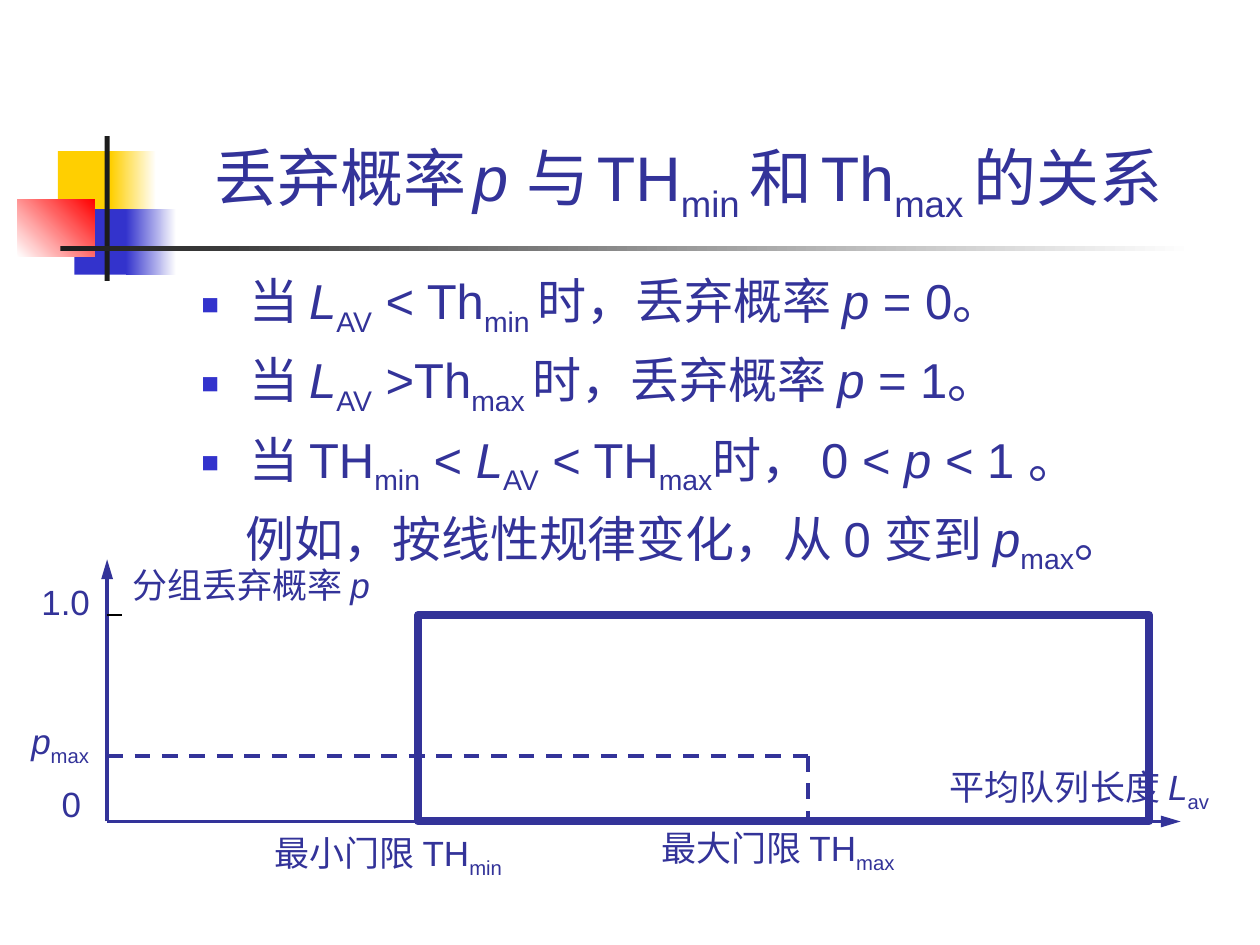
from lxml.etree import SubElement
from pptx import Presentation
from pptx.dml.color import RGBColor
from pptx.enum.dml import MSO_LINE
from pptx.enum.shapes import MSO_CONNECTOR, MSO_SHAPE
from pptx.enum.text import MSO_ANCHOR, MSO_AUTO_SIZE, PP_ALIGN
from pptx.oxml.ns import qn
from pptx.util import Inches, Pt

COLORS = {"ink": "333399", "blue": "3333CC", "yellow": "FFCF01", "red": "FF0000",
          "dark": "1C1C1C", "white": "FFFFFF", "black": "000000"}
FONT = "Arial"

# Each line of text is a list of (text, style); style is "", "i" (italic), "sub" or a size.
TITLE = [("丢弃概率", ""), (" ", "18"), ("p ", "i"), ("与", ""), (" ", "20"), ("TH", ""),
         ("min ", "sub"), ("和", ""), (" ", "20"), ("Th", ""), ("max ", "sub"), ("的关系 ", "")]
RULES = [
    [("当 ", ""), ("L", "i"), ("AV", "sub"), (" < Th", ""), ("min ", "sub"),
     ("时，丢弃概率 ", ""), ("p", "i"), (" = 0。", "")],
    [("当 ", ""), ("L", "i"), ("AV", "sub"), (" >Th", ""), ("max ", "sub"),
     ("时，丢弃概率 ", ""), ("p", "i"), (" = 1。", "")],
    [("当 TH", ""), ("min", "sub"), (" < ", ""), ("L", "i"), ("AV", "sub"), (" < TH", ""),
     ("max", "sub"), ("时， 0 < ", ""), ("p ", "i"), ("< 1 。", "")],
]
EXAMPLE = [("例如，按线性规律变化，从 0 变到 ", ""), ("p", "i"), ("max", "sub"), ("。", "")]


def rgb(name):
    return RGBColor.from_string(COLORS[name])


def add_runs(paragraph, parts, size):
    """Add styled runs; a numeric style is a size of its own."""
    for text, style in parts:
        run = paragraph.add_run()
        run.text = text
        font = run.font
        font.name = FONT
        font.size = Pt(int(style) if style.isdigit() else size)
        font.color.rgb = rgb("ink")
        font.italic = style == "i"
        if style == "sub":
            run._r.get_or_add_rPr().set("baseline", "-25000")


def add_bar(slide, left, top, width, height, start, end=None, angle=0):
    """Borderless rectangle, plain or fading from start to end."""
    bar = slide.shapes.add_shape(MSO_SHAPE.RECTANGLE, Inches(left), Inches(top),
                                 Inches(width), Inches(height))
    bar.shadow.inherit = False
    bar.line.fill.background()
    if end is None:
        bar.fill.solid()
        bar.fill.fore_color.rgb = rgb(start)
    else:
        bar.fill.gradient()
        bar.fill.gradient_angle = angle
        for stop, color in zip(bar.fill.gradient_stops, (start, end)):
            stop.color.rgb = rgb(color)


def add_line(slide, start, end, color="ink", width=2.25, dashed=False, arrow=False):
    line = slide.shapes.add_connector(MSO_CONNECTOR.STRAIGHT,
                                      *(Inches(value) for value in (*start, *end)))
    line.line.color.rgb = rgb(color)
    line.line.width = Pt(width)
    if dashed:
        line.line.dash_style = MSO_LINE.DASH
    if arrow:
        SubElement(line.line._get_or_add_ln(), qn("a:tailEnd"), type="triangle", len="lg")
    SubElement(line._element.spPr, qn("a:effectLst"))


def add_label(slide, left, top, width, height, parts):
    """One line of graph text, in a box wide enough to hold it."""
    label = slide.shapes.add_textbox(Inches(left), Inches(top), Inches(width), Inches(height))
    frame = label.text_frame
    frame.word_wrap = True
    frame.auto_size = MSO_AUTO_SIZE.NONE
    add_runs(frame.paragraphs[0], parts, 20)


def add_ornament(slide, left, top):
    """Coloured squares with a crossing pair of rules."""
    add_bar(slide, left + 0.32, top + 0.12, 0.48, 0.52, "yellow")
    add_bar(slide, left + 0.74, top + 0.12, 0.36, 0.52, "yellow", "white")
    add_bar(slide, left + 0.45, top + 0.58, 0.46, 0.52, "blue")
    add_bar(slide, left + 0.86, top + 0.58, 0.4, 0.52, "blue", "white")
    add_bar(slide, left, top + 0.5, 0.61, 0.46, "white", "red", 45)
    add_bar(slide, left + 0.69, top, 0.04, 1.15, "dark")
    add_bar(slide, left + 0.34, top + 0.87, 9, 0.04, "dark", "white")


def add_title(slide, left, top, width, height):
    title = slide.shapes.add_textbox(Inches(left), Inches(top), Inches(width), Inches(height))
    frame = title.text_frame
    frame.word_wrap = True
    frame.vertical_anchor = MSO_ANCHOR.BOTTOM
    frame.paragraphs[0].alignment = PP_ALIGN.CENTER
    add_runs(frame.paragraphs[0], TITLE, 36)


def add_bullet(paragraph, indent):
    properties = paragraph._p.get_or_add_pPr()
    properties.set("indent", str(-indent))
    color = SubElement(properties, qn("a:buClr"))
    SubElement(color, qn("a:srgbClr"), val=COLORS["blue"])
    SubElement(properties, qn("a:buSzPct"), val="60000")
    SubElement(properties, qn("a:buFont"), typeface=FONT)
    SubElement(properties, qn("a:buChar"), char="■")


def add_rules(slide, left, top, width, height):
    """Bulleted dropping rules, followed by the example without a bullet."""
    body = slide.shapes.add_textbox(Inches(left), Inches(top), Inches(width), Inches(height))
    frame = body.text_frame
    frame.word_wrap = True
    for index, parts in enumerate([*RULES, EXAMPLE]):
        paragraph = frame.add_paragraph() if index else frame.paragraphs[0]
        indent = Inches(0.35 if parts is EXAMPLE else 0.38)
        paragraph._p.get_or_add_pPr().set("marL", str(indent))
        if index:
            paragraph.space_before = Pt(7)
        if parts is not EXAMPLE:
            add_bullet(paragraph, indent)
        add_runs(paragraph, parts, 28)


def add_probability_graph(slide, left, top, width, height):
    """Drop probability against average queue length; the box spans the two axes."""
    right, bottom = left + width, top + height
    full_y, p_max_y = top + 0.44, bottom - 0.52
    th_min_x, th_max_x = left + 2.47, left + 5.56

    add_line(slide, (left, bottom), (right, bottom), arrow=True)
    add_line(slide, (left, bottom), (left, top), arrow=True)
    add_label(slide, th_min_x - 1.24, bottom + 0.03, 2.2, 0.48,
              [("最小门限 TH", ""), ("min", "sub")])
    add_label(slide, th_max_x - 1.26, bottom - 0.01, 2.25, 0.48,
              [("最大门限 TH", ""), ("max", "sub")])
    add_label(slide, right - 1.93, bottom - 0.49, 2.45, 0.48,
              [("平均队列长度 ", ""), ("L", "i"), ("av", "sub")])
    add_label(slide, left + 0.1, top - 0.02, 2.3, 0.44, [("分组丢弃概率 ", ""), ("p", "i")])

    add_line(slide, (th_max_x, p_max_y), (th_max_x, bottom), dashed=True)
    add_line(slide, (th_min_x, bottom - 0.09), (th_min_x, bottom), "black", 0.75)
    add_line(slide, (left, full_y), (left + 0.12, full_y), "black", 0.75)

    frame = slide.shapes.add_shape(MSO_SHAPE.RECTANGLE, Inches(th_min_x), Inches(full_y),
                                   Inches(5.8), Inches(bottom - full_y))
    frame.shadow.inherit = False
    frame.fill.background()
    frame.line.color.rgb = rgb("ink")
    frame.line.width = Pt(4.5)
    SubElement(frame.line._get_or_add_ln(), qn("a:round"))

    add_label(slide, left - 0.62, full_y - 0.32, 0.7, 0.44, [("1.0", "")])
    add_label(slide, left - 0.46, bottom - 0.36, 0.45, 0.44, [("0", "")])
    add_line(slide, (left, p_max_y), (th_max_x, p_max_y), dashed=True)
    add_label(slide, left - 0.7, p_max_y - 0.34, 0.8, 0.48, [("p", "i"), ("max", "sub")])


def main():
    deck = Presentation()
    deck.slide_width, deck.slide_height = Inches(10), Inches(7.5)
    slide = deck.slides.add_slide(deck.slide_layouts[6])
    add_ornament(slide, 0.14, 1.08)
    add_title(slide, 1.26, 0.23, 8.52, 1.6)
    add_probability_graph(slide, 0.85, 4.44, 8.52, 2.08)
    add_rules(slide, 1.5, 2.1, 8.5, 2.6)
    deck.save("out.pptx")


if __name__ == "__main__":
    main()
